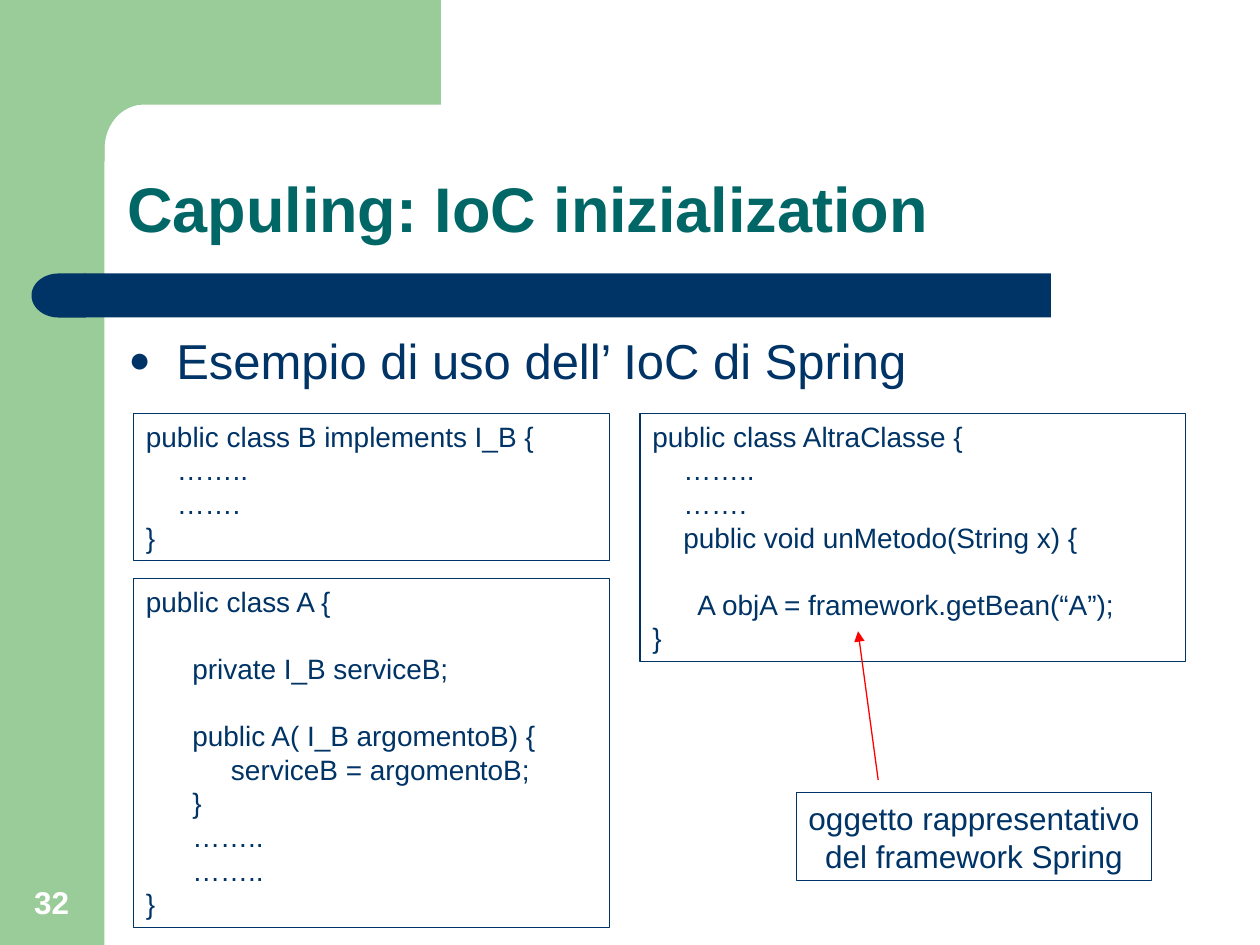
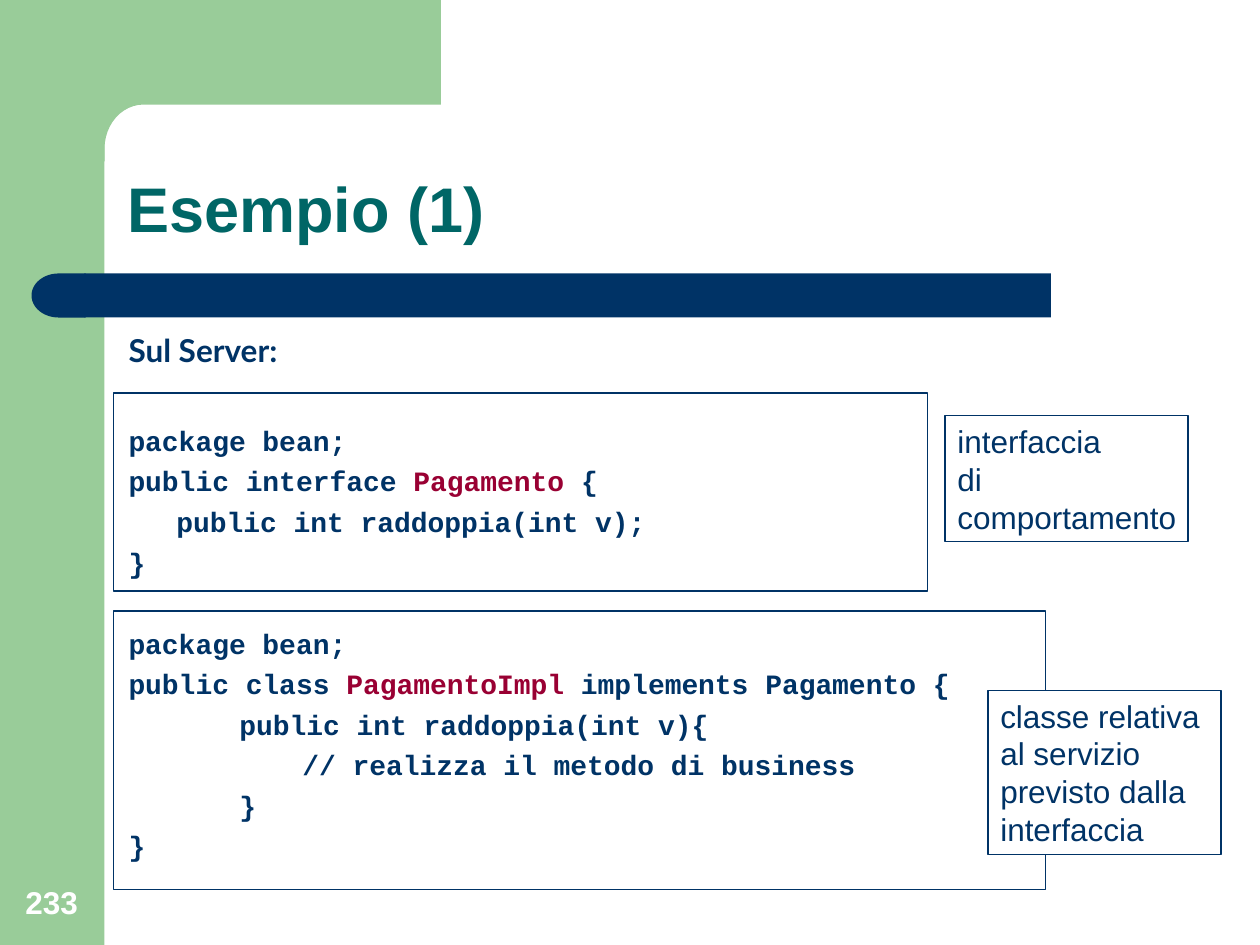
from math import cos, pi, sin

from lxml import etree
from pptx import Presentation
from pptx.dml.color import RGBColor
from pptx.enum import shapes, text
from pptx.oxml.ns import qn
from pptx.util import Inches, Pt

GREEN = RGBColor(0x99, 0xCC, 0x99)
NAVY = RGBColor(0x00, 0x33, 0x66)
TEAL = RGBColor(0x00, 0x66, 0x66)
CRIMSON = RGBColor(0x99, 0x00, 0x33)
RED = RGBColor(0xFF, 0x00, 0x00)
WHITE = RGBColor(0xFF, 0xFF, 0xFF)
LINE_FACTOR = 1.2
HANGING = Inches(0.38)

CLASS_B = """public class B implements I_B {
    ……..
    …….
}"""
CLASS_A = """public class A {

      private I_B serviceB;

      public A( I_B argomentoB) {
           serviceB = argomentoB;
      }
      ……..
      ……..
}"""
OTHER_CLASS = """public class AltraClasse {
    ……..
    …….
    public void unMetodo(String x) {

      A objA = framework.getBean(“A”);
}"""
INTERFACE_CODE = """package bean;
public interface |Pagamento| {
\tpublic int raddoppia(int v);
}"""
CLASS_CODE = """package bean;
public class |PagamentoImpl| implements Pagamento {
\t\tpublic int raddoppia(int v){
\t\t\t// realizza il metodo di business
\t\t}
}"""


def inches(box):
    """Convert a tuple of numbers to lengths."""
    return [Inches(value) for value in box]


def add_child(parent, tag, **attributes):
    """Append a DrawingML element with the given attributes."""
    element = etree.SubElement(parent, qn(tag))
    for name, value in attributes.items():
        element.set(name, str(value))
    return element


def format_runs(paragraph, size, color=NAVY, font="Arial", bold=False):
    """Give all runs of a paragraph one style."""
    for run in paragraph.runs:
        run.font.size = Pt(size)
        run.font.name = font
        run.font.bold = bold
        run.font.color.rgb = color


def paint(shape, fill=None, line=None):
    """Set fill and outline and drop the shadow."""
    shape.shadow.inherit = False
    if fill is None:
        shape.fill.background()
    else:
        shape.fill.solid()
        shape.fill.fore_color.rgb = fill
    if line is None:
        shape.line.fill.background()
    else:
        shape.line.color.rgb = line
        shape.line.width = Pt(0.75)


def add_preset(slide, preset, box, fill=None, line=None):
    """Add a painted preset shape."""
    shape = slide.shapes.add_shape(preset, *inches(box))
    paint(shape, fill, line)
    return shape


def build_layout(slide, layout):
    """Draw the green corner and the navy band and keep them on the layout."""
    sidebar = add_preset(slide, shapes.MSO_SHAPE.RECTANGLE, (0, 0, 0.83, 7.5), GREEN)
    steps = 12
    angles = [pi / 2 * step / steps for step in range(steps + 1)]
    arc = [(1.14 - 0.31 * sin(angle), 1.18 - 0.35 * cos(angle)) for angle in angles]
    outline = [(3.5, 0.83), *arc, (0.83, 1.28), (0.5, 1.28), (0.5, 0)]
    builder = slide.shapes.build_freeform(Inches(3.5), 0)
    builder.add_line_segments([inches(point) for point in outline], close=True)
    corner = builder.convert_to_shape()
    paint(corner, GREEN)
    band = add_preset(slide, shapes.MSO_SHAPE.RECTANGLE, (0.67, 2.17, 7.67, 0.35), NAVY)
    cap = add_preset(slide, shapes.MSO_SHAPE.FLOWCHART_DELAY, (0.25, 2.17, 0.43, 0.35), NAVY)
    cap.rotation = 180
    for index, shape in enumerate((sidebar, corner, band, cap), 2):
        layout.shapes._spTree.insert(index, shape._element)


def place(shape, box):
    """Move a placeholder to a box."""
    shape.left, shape.top, shape.width, shape.height = inches(box)
    shape.text_frame.auto_size = text.MSO_AUTO_SIZE.NONE
    shape.text_frame.word_wrap = True


def fill_title(slide, title):
    """Fill and format the title placeholder."""
    shape = slide.shapes.title
    place(shape, (0.91, 0.91, 8.51, 1.09))
    shape.text_frame.text = title
    shape.text_frame.vertical_anchor = text.MSO_ANCHOR.BOTTOM
    paragraph = shape.text_frame.paragraphs[0]
    paragraph.alignment = text.PP_ALIGN.LEFT
    paragraph.line_spacing = 0.9
    format_runs(paragraph, 36, TEAL, bold=True)


def add_page_number(slide, number):
    """Write the page number at the foot of the sidebar."""
    frame = slide.shapes.add_textbox(*inches((0.09, 6.83, 0.64, 0.53))).text_frame
    frame.word_wrap = True
    frame.vertical_anchor = text.MSO_ANCHOR.BOTTOM
    frame.text = str(number)
    frame.paragraphs[0].alignment = text.PP_ALIGN.CENTER
    format_runs(frame.paragraphs[0], 18, WHITE, bold=True)


def start_slide(presentation, title, number):
    """Add a slide with its title and page number."""
    slide = presentation.slides.add_slide(presentation.slide_layouts[1])
    fill_title(slide, title)
    add_page_number(slide, number)
    return slide


def add_boxed_text(slide, box, content, size, fill=None, wrap=True, align=text.PP_ALIGN.LEFT):
    """Add an outlined box of lines, turning empty lines into space before."""
    shape = add_preset(slide, shapes.MSO_SHAPE.RECTANGLE, box, fill, NAVY)
    frame = shape.text_frame
    frame.word_wrap = wrap
    frame.vertical_anchor = text.MSO_ANCHOR.TOP
    lines = content.split("\n")
    frame.text = "\n".join(line for line in lines if line)
    gaps = [not previous for previous, line in zip(["-"] + lines, lines) if line]
    for paragraph, gap in zip(frame.paragraphs, gaps):
        paragraph.alignment = align
        paragraph.line_spacing = Pt(size * LINE_FACTOR)
        if gap:
            paragraph.space_before = Pt(size * LINE_FACTOR)
        format_runs(paragraph, size)


def hang(paragraph, size, bullet=None):
    """Give a paragraph its hanging indent, bullet and tab stops."""
    properties = paragraph._p.get_or_add_pPr()
    properties.set("marL", str(HANGING))
    properties.set("indent", str(-HANGING))
    if bullet:
        add_child(add_child(properties, "a:buClr"), "a:srgbClr", val=NAVY)
        add_child(properties, "a:buSzPct", val=75000)
        add_child(properties, "a:buFont", typeface="Arial")
        add_child(properties, "a:buChar", char=bullet)
    else:
        add_child(properties, "a:buNone")
    stops = add_child(properties, "a:tabLst")
    for position in range(1, 8):
        add_child(stops, "a:tab", pos=Inches(position), algn="l")
    paragraph.line_spacing = Pt(size * LINE_FACTOR)
    paragraph.space_before = Pt(0)


def add_code(frame, code, gap):
    """Append code lines, with the parts between bars in crimson."""
    for index, line in enumerate(code.split("\n")):
        paragraph = frame.add_paragraph()
        hang(paragraph, 16)
        paragraph.space_before = Pt(4 if index else gap)
        for part in line.split("|"):
            paragraph.add_run().text = part
        format_runs(paragraph, 16, font="Courier New", bold=True)
        for run in paragraph.runs[1::2]:
            run.font.color.rgb = CRIMSON


def add_arrow(slide, start, end):
    """Draw a red arrow."""
    arrow = slide.shapes.add_connector(
        shapes.MSO_CONNECTOR.STRAIGHT, *inches(start), *inches(end))
    arrow.line.color.rgb = RED
    arrow.line.width = Pt(0.75)
    add_child(arrow.line._get_or_add_ln(), "a:tailEnd", type="triangle")
    add_child(arrow._element.spPr, "a:effectLst")


def build_coupling_slide(slide):
    """Show three classes and the note on the framework object."""
    body = slide.placeholders[1]
    place(body, (0.92, 2.57, 8.41, 0.61))
    body.text_frame.text = "Esempio di uso dell’ IoC di Spring"
    paragraph = body.text_frame.paragraphs[0]
    hang(paragraph, 28, "●")
    format_runs(paragraph, 28)
    add_boxed_text(slide, (1.06, 4.59, 3.78, 2.77), CLASS_A, 16)
    add_boxed_text(slide, (1.06, 3.28, 3.78, 1.17), CLASS_B, 16)
    add_boxed_text(slide, (5.08, 3.28, 4.33, 1.97), OTHER_CLASS, 16)
    add_boxed_text(slide, (6.32, 6.29, 2.82, 0.7),
                   "oggetto rappresentativo\ndel framework Spring", 18,
                   wrap=False, align=text.PP_ALIGN.CENTER)
    add_arrow(slide, (6.97, 6.19), (6.81, 5.01))


def build_server_slide(slide):
    """Show the framed server code and its two notes."""
    for index, box in enumerate([(0.9, 4.85, 7.4, 2.21), (0.9, 3.12, 6.46, 1.57)], 2):
        frame_shape = add_preset(slide, shapes.MSO_SHAPE.RECTANGLE, box, WHITE, NAVY)
        slide.shapes._spTree.insert(index, frame_shape._element)
    body = slide.placeholders[1]
    place(body, (0.92, 2.58, 8.41, 4.55))
    frame = body.text_frame
    frame.text = "Sul Server:"
    hang(frame.paragraphs[0], 18)
    format_runs(frame.paragraphs[0], 18, font="Lato", bold=True)
    add_code(frame, INTERFACE_CODE, 31)
    add_code(frame, CLASS_CODE, 27)
    add_boxed_text(slide, (7.5, 3.3, 1.93, 1), "interfaccia\ndi\ncomportamento",
                   18, WHITE, wrap=False)
    add_boxed_text(slide, (7.84, 5.48, 1.85, 1.3),
                   "classe relativa\nal servizio\nprevisto dalla\ninterfaccia",
                   18, WHITE, wrap=False)


def main():
    """Build and save the presentation."""
    presentation = Presentation()
    presentation.slide_width, presentation.slide_height = Inches(10), Inches(7.5)
    coupling = start_slide(presentation, "Capuling: IoC inizialization", 32)
    build_layout(coupling, presentation.slide_layouts[1])
    build_coupling_slide(coupling)
    build_server_slide(start_slide(presentation, "Esempio (1)", 233))
    presentation.save("out.pptx")


if __name__ == "__main__":
    main()
